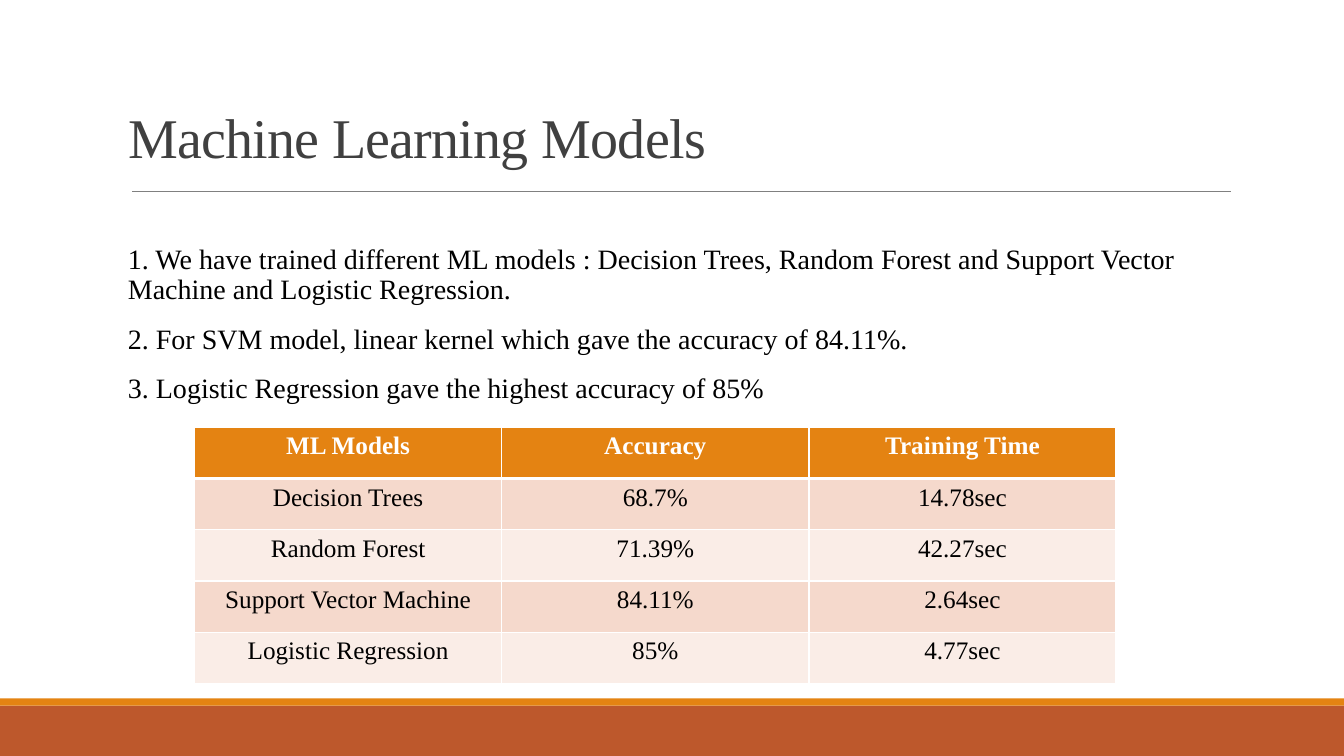
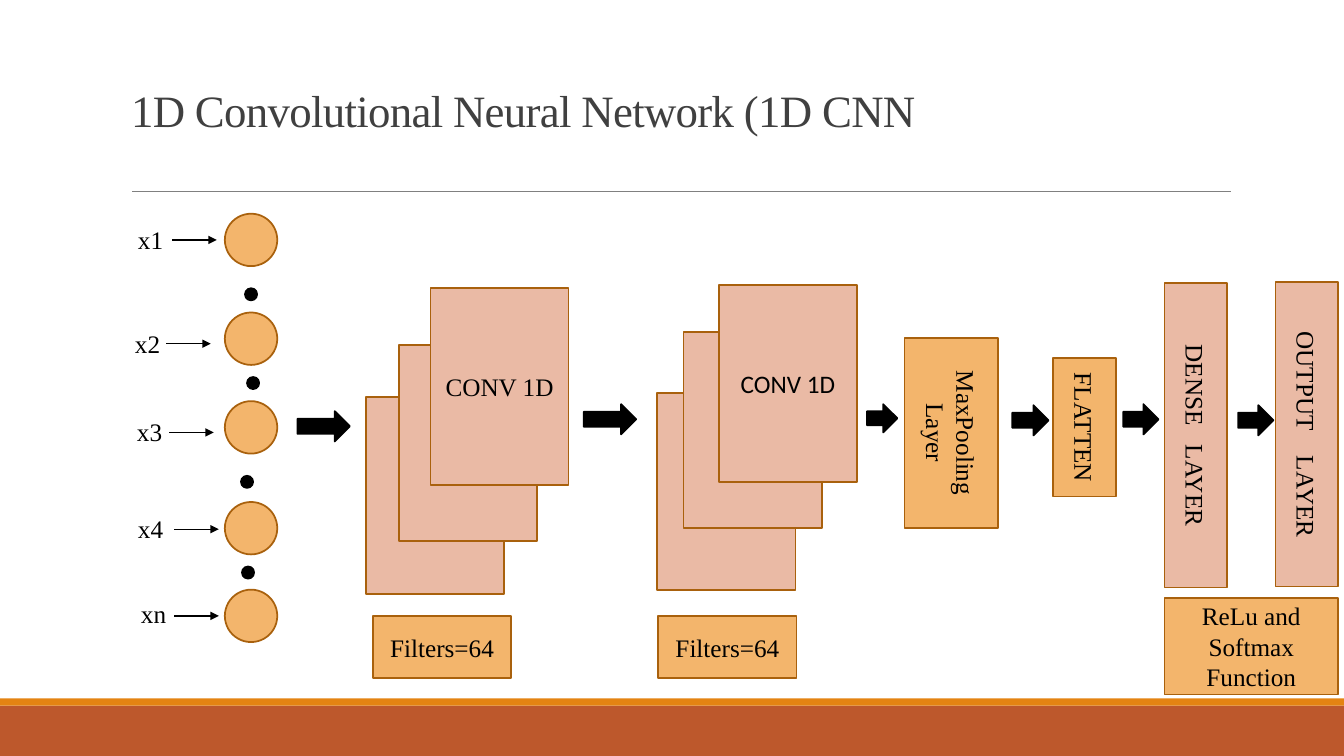
from lxml import etree
from pptx import Presentation
from pptx.dml.color import RGBColor
from pptx.enum import shapes, text
from pptx.oxml import ns
from pptx.util import Inches, Pt

COLORS = {
    "rust": "BD582C", "orange": "E48312", "amber": "F3B56C", "salmon": "EABAA5",
    "brown": "A9610D", "black": "000000", "white": "FFFFFF", "title": "404040",
    "rule": "808080", "row_dark": "F5D9CC", "row_light": "FAEDE7",
}
RGB = {name: RGBColor.from_string(value) for name, value in COLORS.items()}
SERIF = "Times New Roman"
SHAPE = shapes.MSO_SHAPE
ALIGN = text.PP_ALIGN
ANCHOR = text.MSO_ANCHOR


def write(frame, content, align=ALIGN.CENTER, paragraph_format=None, **font_format):
    frame.text = content
    font_values = {"size": Pt(18), "name": SERIF, "bold": False} | font_format
    color = font_values.pop("color", "black")
    for paragraph in frame.paragraphs:
        for key, value in ({"alignment": align} | (paragraph_format or {})).items():
            setattr(paragraph, key, value)
        for run in paragraph.runs:
            run.font.color.rgb = RGB[color]
            for key, value in font_values.items():
                setattr(run.font, key, value)


def add_part(slide, kind, box, fill, outline=None, label="", rotation=0, font=SERIF):
    part = slide.shapes.add_shape(kind, *map(Inches, box))
    part.shadow.inherit = False
    part.rotation = rotation
    part.fill.solid()
    part.fill.fore_color.rgb = RGB[fill]
    if outline:
        part.line.color.rgb = RGB[outline]
        part.line.width = Pt(1.25)
    else:
        part.line.fill.background()
    if label:
        part.text_frame.word_wrap = True
        part.text_frame.vertical_anchor = ANCHOR.MIDDLE
        write(part.text_frame, label, name=font)
    return part


deck = Presentation()
deck.slide_width, deck.slide_height = Inches(13.33), Inches(7.5)

titles = [
    ("Machine Learning Models", (1.17, 0.85, 6.24, 0.89), 40),
    ("1D Convolutional Neural Network (1D CNN", (1.2, 0.31, 8.08, 1.1), 32),
]
lines = []
for heading, box, size in titles:
    slide = deck.slides.add_slide(deck.slide_layouts[5])
    add_part(slide, SHAPE.RECTANGLE, (0, 7, 13.33, 0.5), "rust")
    add_part(slide, SHAPE.RECTANGLE, (0, 6.93, 13.33, 0.07), "orange")
    lines.append((slide, 1.31, 12.21, 1.9, "rule", 0.5))
    title = slide.shapes.title
    title.left, title.top, title.width, title.height = map(Inches, box)
    title.text_frame.auto_size = text.MSO_AUTO_SIZE.NONE
    title.text_frame.vertical_anchor = ANCHOR.BOTTOM
    write(title.text_frame, heading, ALIGN.LEFT, {"line_spacing": 0.85},
          size=Pt(size), color="title")
    title.text_frame.paragraphs[0].runs[0].font._element.set("spc", "-50")

models_slide, network_slide = deck.slides

findings = models_slide.shapes.add_textbox(*map(Inches, (1.17, 2.38, 11, 1.75))).text_frame
findings.word_wrap = True
write(findings, "\n".join([
    "1. We have trained different ML models : Decision Trees, Random Forest and "
    "Support Vector Machine and Logistic Regression.",
    "2. For SVM model, linear kernel which gave the accuracy of 84.11%.",
    "3. Logistic Regression gave the highest accuracy of 85%",
]), ALIGN.LEFT, {"line_spacing": 0.9, "space_before": Pt(12), "space_after": Pt(2)},
    size=Pt(20))

results = [
    ("ML Models", "Accuracy", "Training Time"),
    ("Decision Trees", "68.7%", "14.78sec"),
    ("Random Forest", "71.39%", "42.27sec"),
    ("Support Vector Machine", "84.11%", "2.64sec"),
    ("Logistic Regression", "85%", "4.77sec"),
]
table = models_slide.shapes.add_table(
    len(results), 3, *map(Inches, (1.93, 4.24, 9.14, 2.54))).table
for row, values in enumerate(results):
    header = row == 0
    for column, value in enumerate(values):
        cell = table.cell(row, column)
        write(cell.text_frame, value, bold=header, color="white" if header else "black")
        properties = cell._tc.get_or_add_tcPr()
        for side in ("lnL", "lnR", "lnT", "lnB"):
            thick = (header and side == "lnB") or (row == 1 and side == "lnT")
            border = etree.SubElement(properties, ns.qn(f"a:{side}"), w=str(Pt(3 if thick else 1)))
            paint = etree.SubElement(border, ns.qn("a:solidFill"))
            etree.SubElement(paint, ns.qn("a:srgbClr"), val=COLORS["white"])
        cell.fill.solid()
        cell.fill.fore_color.rgb = RGB[
            "orange" if header else "row_dark" if row % 2 else "row_light"]

inputs = [
    ("x1", 2.12, 1.27, 2.18, 1.71, 2.38),
    ("x2", 3.1, 1.24, 3.21, 1.65, 3.41),
    ("x3", 3.98, 1.26, 4.08, 1.68, 4.29),
    ("x4", 4.98, 1.27, 5.04, 1.73, 5.25),
    ("xn", 5.85, 1.3, 5.89, 1.73, 6.11),
]
for name, node_top, name_left, name_top, arrow_left, arrow_y in inputs:
    add_part(network_slide, SHAPE.OVAL, (2.23, node_top, 0.52, 0.52), "amber", "brown")
    lines.append((network_slide, arrow_left, arrow_left + 0.44, arrow_y, "black", 1))
    caption = network_slide.shapes.add_textbox(
        *map(Inches, (name_left, name_top, 0.45, 0.4))).text_frame
    caption.word_wrap = False
    write(caption, name, ALIGN.LEFT)

for left, top in [(2.43, 2.86), (2.45, 3.74), (2.39, 4.72), (2.4, 5.62)]:
    add_part(network_slide, SHAPE.OVAL, (left, top, 0.12, 0.12), "black", "black")

flow_arrows = [
    (2.95, 4.08, 0.52, 0.3), (5.79, 4.01, 0.52, 0.3), (8.6, 4.01, 0.3, 0.28),
    (10.04, 4.02, 0.36, 0.3), (11.14, 4.01, 0.35, 0.3), (12.28, 4.02, 0.35, 0.3),
]
for box in flow_arrows:
    add_part(network_slide, SHAPE.RIGHT_ARROW, box, "black", "black")

convolutions = [
    ([(3.63, 3.94), (3.96, 3.42), (4.27, 2.86)], SERIF, 3.7),
    ([(6.52, 3.9), (6.78, 3.29), (7.13, 2.83)], "Calibri", 6.53),
]
for sheets, font, filters_left in convolutions:
    for left, top in sheets:
        label = "CONV 1D" if (left, top) == sheets[-1] else ""
        add_part(network_slide, SHAPE.RECTANGLE, (left, top, 1.37, 1.95),
                 "salmon", "brown", label, font=font)
    add_part(network_slide, SHAPE.RECTANGLE, (filters_left, 6.11, 1.37, 0.62),
             "amber", "brown", "Filters=64")

layers = [
    ("MaxPooling\nLayer", (8.49, 3.83, 1.89, 0.93), "amber", 90, 0),
    ("FLATTEN", (10.07, 3.93, 1.37, 0.62), "amber", 90, 0),
    ("DENSE LAYER", (10.35, 4.01, 3.02, 0.62), "salmon", 90, 9),
    ("OUTPUT LAYER", (11.45, 4, 3.02, 0.62), "salmon", 90, 13.5),
    ("ReLu and Softmax Function", (11.55, 5.93, 1.72, 0.96), "amber", 0, 0),
]
for label, box, fill, rotation, word_gap in layers:
    layer = add_part(network_slide, SHAPE.RECTANGLE, box, fill, "brown", label, rotation)
    if word_gap:
        paragraph = layer.text_frame.paragraphs[0]
        first, second = label.split()
        paragraph.runs[0].text = first
        for piece in (" ", second):
            run = paragraph.add_run()
            run.text = piece
            run.font.size, run.font.name = Pt(18), SERIF
            run.font.color.rgb = RGB["black"]
        paragraph.runs[1].font._element.set("spc", str(int(word_gap * 100)))

for slide, start, end, y, color, width in lines:
    line = slide.shapes.add_connector(
        shapes.MSO_CONNECTOR.STRAIGHT, *map(Inches, (start, y, end, y)))
    line.line.color.rgb = RGB[color]
    line.line.width = Pt(width)
    if color == "black":
        etree.SubElement(line.line._get_or_add_ln(), ns.qn("a:tailEnd"), type="triangle")
    etree.SubElement(line._element.spPr, ns.qn("a:effectLst"))

deck.save("out.pptx")
